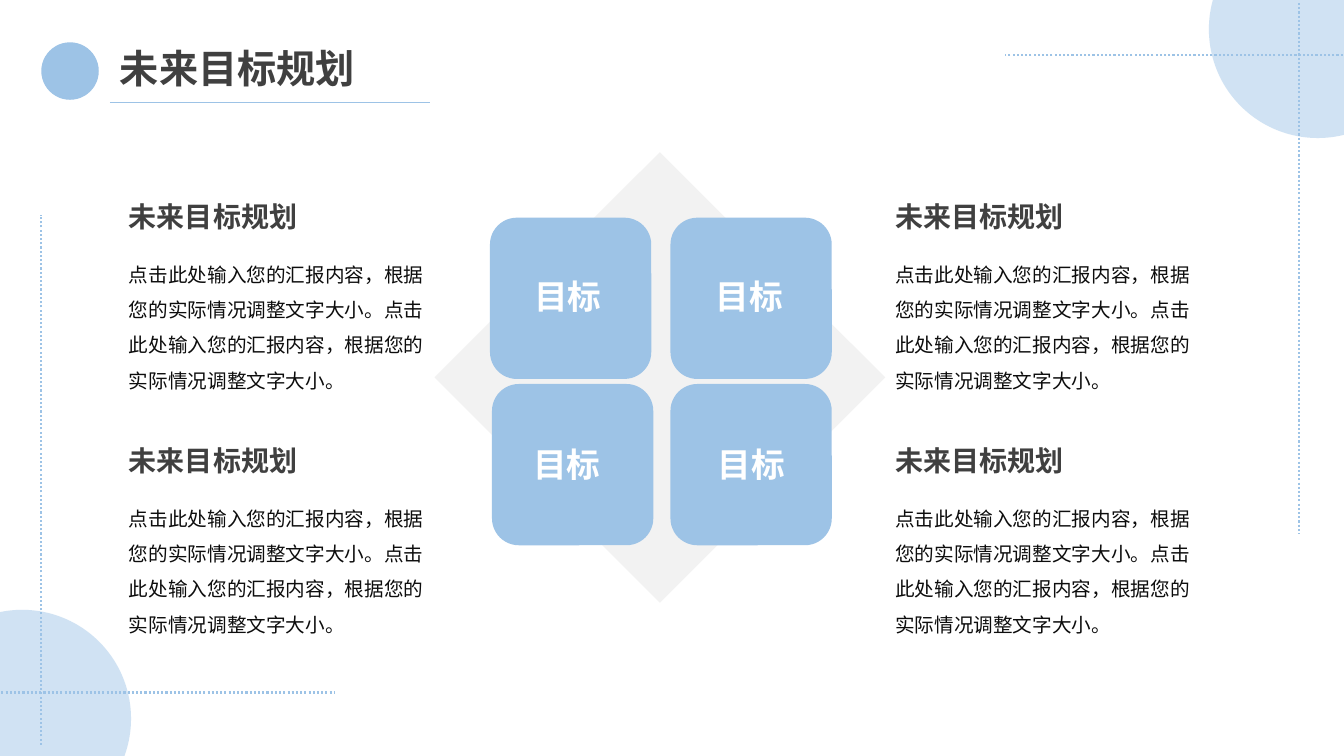
"""Build the slide of future goals: four tiles on a diamond with four text blocks."""
from dataclasses import dataclass

from lxml.etree import SubElement
from pptx import Presentation
from pptx.dml.color import RGBColor
from pptx.enum.dml import MSO_LINE
from pptx.enum.shapes import MSO_CONNECTOR, MSO_SHAPE
from pptx.enum.text import MSO_ANCHOR, MSO_AUTO_SIZE, PP_ALIGN
from pptx.oxml.ns import qn
from pptx.util import Pt

EMU_PER_PX = 9144
HEADING = "未来目标规划"
BODY = "点击此处输入您的汇报内容，根据您的实际情况调整文字大小。" * 2


@dataclass(frozen=True)
class Theme:
    font: str = "Noto Sans CJK SC"
    blue: str = "9DC3E6"
    pale_blue: str = "BDD7EE"
    grey: str = "F2F2F2"
    heading: str = "404040"
    body: str = "0D0D0D"
    white: str = "FFFFFF"
    title_size: int = 28
    label_size: int = 24
    heading_size: int = 20
    body_size: int = 14


class SlideBuilder:
    def __init__(self, slide, theme):
        self.s = slide
        self.theme = theme

    def px(self, *lengths):
        return [n * EMU_PER_PX for n in lengths]

    def shape(self, kind, x, y, w, h, color, opacity=100):
        sp = self.s.shapes.add_shape(kind, *self.px(x, y, w, h))
        sp.shadow.inherit = False
        sp.fill.solid()
        sp.fill.fore_color.rgb = RGBColor.from_string(color)
        sp.line.fill.background()
        if opacity < 100:
            clr = sp._element.spPr.find(qn("a:solidFill"))[0]
            SubElement(clr, qn("a:alpha"), val=str(opacity * 1000))

    def line(self, x1, y1, x2, y2, width=1.5, dash=MSO_LINE.ROUND_DOT):
        ln = self.s.shapes.add_connector(MSO_CONNECTOR.STRAIGHT, *self.px(x1, y1, x2, y2))
        ln.line.color.rgb = RGBColor.from_string(self.theme.blue)
        ln.line.width = Pt(width)
        ln.line.dash_style = dash
        SubElement(ln._element.spPr, qn("a:effectLst"))

    def set_text(self, sp, text, size, color, bold=True, align=PP_ALIGN.LEFT, spacing=1.0):
        tf = sp.text_frame
        tf.word_wrap = True
        tf.auto_size = MSO_AUTO_SIZE.SHAPE_TO_FIT_TEXT
        tf.vertical_anchor = MSO_ANCHOR.TOP
        p = tf.paragraphs[0]
        p.text = text
        p.alignment = align
        p.line_spacing = spacing
        p.font.size = Pt(size)
        p.font.bold = bold
        p.font.color.rgb = RGBColor.from_string(color)
        p.font.name = self.theme.font
        SubElement(p._p.pPr.find(qn("a:defRPr")), qn("a:ea"), typeface=self.theme.font)

    def text(self, x, y, w, h, *args, **style):
        self.set_text(self.s.shapes.add_textbox(*self.px(x, y, w, h)), *args, **style)

    def title(self, x, y, w, h, text):
        sp = self.s.shapes.title
        sp.left, sp.top, sp.width, sp.height = self.px(x, y, w, h)
        self.set_text(sp, text, self.theme.title_size, self.theme.heading, align=PP_ALIGN.JUSTIFY)

    def block(self, x, y):
        t = self.theme
        self.text(x, y, 219, 44, HEADING, t.heading_size, t.heading, align=PP_ALIGN.JUSTIFY)
        self.text(x, y + 51, 327, 148, BODY, t.body_size, t.body, bold=False, spacing=1.5)


def main():
    prs = Presentation()
    prs.slide_width, prs.slide_height = 1333 * EMU_PER_PX, 750 * EMU_PER_PX
    theme = Theme()
    b = SlideBuilder(prs.slides.add_slide(prs.slide_layouts[5]), theme)

    b.title(109, 39, 318, 57, HEADING)
    b.shape(MSO_SHAPE.DIAMOND, 431, 151, 447, 447, theme.grey)
    for x, y in ((665, 216), (488, 381), (486, 216), (665, 381)):
        b.shape(MSO_SHAPE.ROUNDED_RECTANGLE, x, y, 160, 160, theme.blue)
    for x, y in ((520, 269), (700, 269), (519, 435), (702, 435)):
        b.text(x, y, 94, 50, "目标", theme.label_size, theme.white)
    for x in (118, 878):
        for y in (193, 435):
            b.block(x, y)

    for x, y in ((1199, -79), (-86, 605)):
        b.shape(MSO_SHAPE.OVAL, x, y, 216, 216, theme.pale_blue, opacity=70)
    for ends in ((1336, 55, 997, 55), (1288, 3, 1288, 529),
                 (-7, 687, 332, 687), (41, 739, 41, 213)):
        b.line(*ends)
    b.shape(MSO_SHAPE.OVAL, 41, 42, 57, 57, theme.blue)
    b.line(109, 102, 427, 102, width=0.5, dash=MSO_LINE.SOLID)
    prs.save("out.pptx")


if __name__ == "__main__":
    main()
